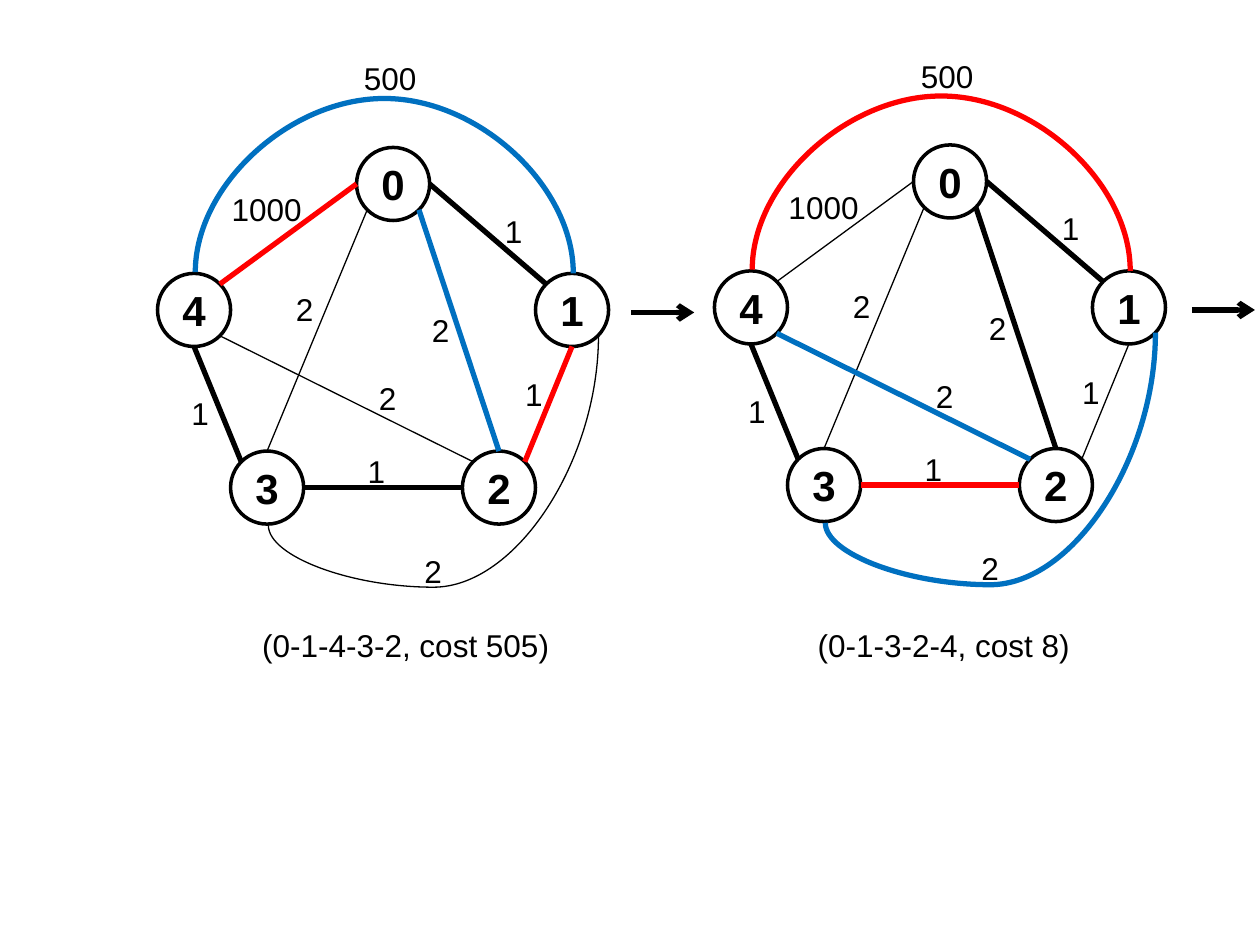
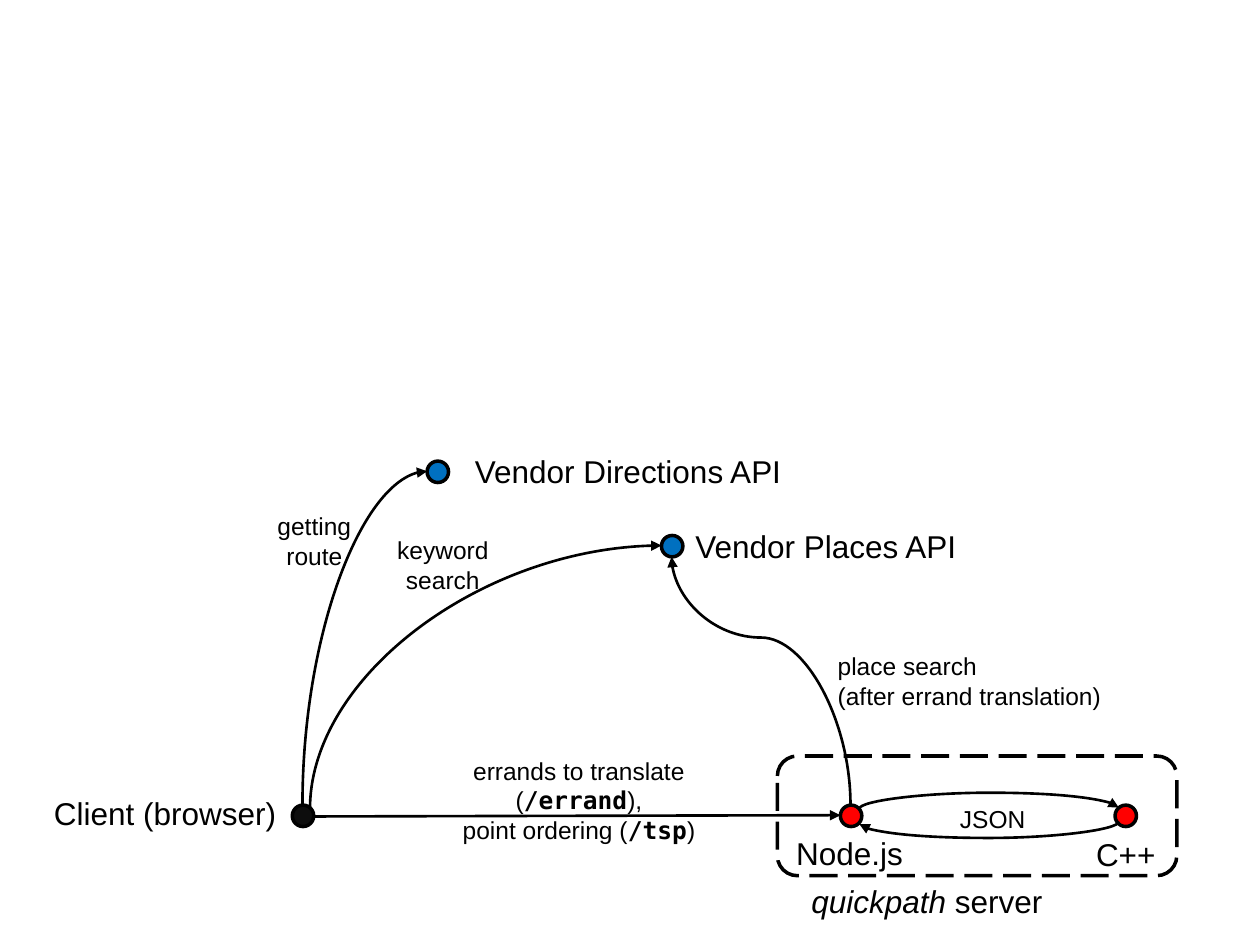
"""Builds two slides: travelling-salesman tour swaps and the errand router's request flow."""
from lxml import etree
from pptx import Presentation
from pptx import util as u
from pptx.dml.color import RGBColor
from pptx.enum import dml, shapes, text
from pptx.oxml import ns

COLORS = {"black": "000000", "red": "FF0000", "blue": "0070C0", "charcoal": "0D0D0D"}
SANS, MONO = "Arial", "DejaVu Sans Mono"
THIN, THICK, FLOW, OUTLINE = 0.75, 3, 1.5, 2

NODE_SIZE = 0.58
NODE_CORNERS = {"0": (2.83, 1.17), "1": (4.25, 2.17), "2": (3.67, 3.58),
                "3": (1.83, 3.58), "4": (1.25, 2.17)}
EDGES = {"0-1": ("E", "NW"), "1-2": ("S", "NE"), "2-3": ("W", "E"), "3-4": ("NW", "S"),
         "4-0": ("NE", "W"), "0-2": ("SE", "N"), "0-3": ("SW", "N"), "4-2": ("SE", "NW")}
CURVED_EDGES = {"1-4": ((4.55, 2.17), (1.55, 2.16), 0.76),
                "1-3": ((4.75, 2.66), (2.13, 4.17), 4.66)}
WEIGHTS = [("1", 3.91, 1.63), ("1", 4.07, 2.93), ("1", 2.82, 3.54), ("1", 1.42, 3.08),
           ("1000", 1.74, 1.46), ("2", 3.27, 4.33), ("2", 2.91, 2.96), ("2", 2.25, 2.25),
           ("2", 3.33, 2.42), ("500", 2.79, 0.42)]
TOURS = [
    {"shift": (0, 0), "kept": ["0-1", "2-3", "3-4"], "removed": ["1-2", "4-0"],
     "added": ["0-2", "1-4"], "caption": ("(0-1-4-3-2, cost 505)", 1.97, 2.5),
     "arrow": (5.01, 2.48)},
    {"shift": (4.42, -0.02), "kept": ["0-1", "3-4", "0-2"], "removed": ["2-3", "1-4"],
     "added": ["1-3", "4-2"], "caption": ("(0-1-3-2-4, cost 8)", 6.38, 2.22),
     "arrow": (9.46, 2.46)},
]
ROLE_COLORS = {"kept": "black", "removed": "red", "added": "blue"}

DOT_SIZE = 0.17
DOTS = [("charcoal", 2.32, 6.39), ("blue", 3.39, 3.66), ("blue", 5.25, 4.25),
        ("red", 6.67, 6.39), ("red", 8.85, 6.39)]
SERVER_FRAME = (6.17, 6, 3.17, 0.95)
FLOW_CURVES = [((2.4, 6.39), (3.39, 3.74), None), ((2.46, 6.42), (5.25, 4.33), None),
               ((6.75, 6.39), (5.33, 4.42), 5.06), ((6.82, 6.42), (8.88, 6.41), 6.29),
               ((8.88, 6.52), (6.82, 6.54), 6.65)]
REQUEST_LINE = ((2.48, 6.48), (6.67, 6.47))
PLACE_NAMES = [
    ([["Client (browser)"]], 0.33, 6.25, 1.98),
    ([["Vendor Directions API"]], 3.67, 3.54, 2.67),
    ([["Vendor Places API"]], 5.42, 4.13, 2.31),
    ([[("quickpath ", "italic"), "server"]], 6.34, 6.95, 2.12),
    ([["Node.js"]], 6.22, 6.57, 1.06),
    ([["C++"]], 8.6, 6.58, 0.68),
]
FLOW_NOTES = [
    ([["keyword"], ["search"]], 3.05, 4.2, 0.93, True),
    ([["getting"], ["route"]], 2.1, 4.01, 0.79, True),
    ([["place search"], ["(after errand translation)"]], 6.55, 5.12, 2.3, False),
    ([["errands to translate"], ["(", ("/errand", "code"), "),"],
      ["point ordering (", ("/tsp", "code"), ")"]], 3.17, 5.95, 2.85, True),
    ([["JSON"]], 7.52, 6.33, 0.73, False),
]

CURVE_TURNS = {(False, True): (90, False, False), (True, False): (90, True, True),
               (False, False): (270, False, True)}


def color(name):
    return RGBColor.from_string(COLORS[name])


def style_run(run, size, style=None, bold=False):
    run.font.size = u.Pt(size)
    run.font.name = MONO if style == "code" else SANS
    run.font.bold = bold or style == "code"
    run.font.italic = style == "italic"
    run.font.color.rgb = color("black")


def add_label(slide, lines, left, top, width, size=18, centered=False):
    height = 0.1 + len(lines) * size / 60
    box = slide.shapes.add_textbox(*map(u.Inches, (left, top, width, height)))
    frame = box.text_frame
    frame.word_wrap = False
    frame.auto_size = text.MSO_AUTO_SIZE.SHAPE_TO_FIT_TEXT
    paragraph = frame.paragraphs[0]
    paragraph.alignment = text.PP_ALIGN.CENTER if centered else text.PP_ALIGN.LEFT
    for index, line in enumerate(lines):
        if index:
            paragraph.add_line_break()
        for part in line:
            words, style = (part, None) if isinstance(part, str) else part
            run = paragraph.add_run()
            run.text = words
            style_run(run, size, style)


def add_outline(slide, kind, left, top, width, height, fill=None):
    shape = slide.shapes.add_shape(kind, *map(u.Inches, (left, top, width, height)))
    shape.shadow.inherit = False
    if fill:
        shape.fill.solid()
        shape.fill.fore_color.rgb = color(fill)
    else:
        shape.fill.background()
    shape.line.color.rgb = color("black")
    shape.line.width = u.Pt(OUTLINE)
    return shape


def add_line(slide, start, end, width, name="black", head=None, kind=shapes.MSO_CONNECTOR.STRAIGHT):
    connector = slide.shapes.add_connector(kind, *map(u.Inches, (*start, *end)))
    connector.line.color.rgb = color(name)
    connector.line.width = u.Pt(width)
    properties = connector._element.spPr
    if head:
        etree.SubElement(properties.find(ns.qn("a:ln")), ns.qn("a:tailEnd"), type=head)
    etree.SubElement(properties, ns.qn("a:effectLst"))
    return connector


def add_curve(slide, start, end, level, width, name="black", head=None):
    """Adds a curve that leaves its start vertically and, given a level, turns there."""
    connector = add_line(slide, start, end, width, name, head, shapes.MSO_CONNECTOR.CURVE)
    across, down = end[0] - start[0], end[1] - start[1]
    length, breadth = abs(down), abs(across)
    connector.left = u.Inches((start[0] + end[0] - length) / 2)
    connector.top = u.Inches((start[1] + end[1] - breadth) / 2)
    connector.width, connector.height = u.Inches(length), u.Inches(breadth)
    turn, flip_h, flip_v = CURVE_TURNS[across > 0, down > 0]
    transform = connector._element.spPr.find(ns.qn("a:xfrm"))
    transform.set("rot", str(turn * 60000))
    transform.set("flipH", str(int(flip_h)))
    transform.set("flipV", str(int(flip_v)))
    geometry = connector._element.spPr.find(ns.qn("a:prstGeom"))
    geometry.set("prst", "curvedConnector2" if level is None else "curvedConnector3")
    if level is not None:
        bend = round((level - start[1]) / down * 100000)
        guides = geometry.find(ns.qn("a:avLst"))
        etree.SubElement(guides, ns.qn("a:gd"), name="adj1", fmla=f"val {bend}")


def node_site(node, side):
    """Returns the point of a node's rim that lies on the given compass side."""
    x = ("E" in side) - ("W" in side)
    y = ("S" in side) - ("N" in side)
    radius = NODE_SIZE / 2
    reach = radius / (x * x + y * y) ** 0.5
    left, top = NODE_CORNERS[node]
    return left + radius + x * reach, top + radius + y * reach


def draw_tour(slide, tour):
    def moved(point):
        return point[0] + tour["shift"][0], point[1] + tour["shift"][1]

    def edge_style(edge):
        for role, name in ROLE_COLORS.items():
            if edge in tour[role]:
                return THICK, name
        return THIN, "black"

    for node, corner in NODE_CORNERS.items():
        shape = add_outline(slide, shapes.MSO_SHAPE.OVAL, *moved(corner), NODE_SIZE, NODE_SIZE)
        shape.text_frame.text = node
        shape.text_frame.vertical_anchor = text.MSO_ANCHOR.MIDDLE
        paragraph = shape.text_frame.paragraphs[0]
        paragraph.alignment = text.PP_ALIGN.CENTER
        style_run(paragraph.runs[0], 24, bold=True)
    for edge, sides in EDGES.items():
        start, end = (moved(node_site(*site)) for site in zip(edge.split("-"), sides))
        add_line(slide, start, end, *edge_style(edge))
    for edge, (start, end, level) in CURVED_EDGES.items():
        add_curve(slide, moved(start), moved(end), level + tour["shift"][1], *edge_style(edge))
    for weight, left, top in WEIGHTS:
        add_label(slide, [[weight]], *moved((left, top)), 0.2 + 0.14 * len(weight))
    caption, left, width = tour["caption"]
    add_label(slide, [[caption]], left, 4.92, width, centered=True)
    x, y = tour["arrow"]
    add_line(slide, (x, y), (x + 0.5, y), THICK, head="arrow")


def draw_request_flow(slide):
    for fill, left, top in DOTS:
        add_outline(slide, shapes.MSO_SHAPE.OVAL, left, top, DOT_SIZE, DOT_SIZE, fill)
    for start, end, level in FLOW_CURVES:
        add_curve(slide, start, end, level, FLOW, head="triangle")
    add_line(slide, *REQUEST_LINE, FLOW, head="triangle")
    frame = add_outline(slide, shapes.MSO_SHAPE.ROUNDED_RECTANGLE, *SERVER_FRAME)
    frame.line.dash_style = dml.MSO_LINE.LONG_DASH
    for lines, left, top, width in PLACE_NAMES:
        add_label(slide, lines, left, top, width)
    for lines, left, top, width, centered in FLOW_NOTES:
        add_label(slide, lines, left, top, width, 14, centered)


def main():
    presentation = Presentation()
    presentation.slide_width, presentation.slide_height = u.Inches(10), u.Inches(7.5)
    blank = presentation.slide_layouts[6]
    tour_slide = presentation.slides.add_slide(blank)
    for tour in TOURS:
        draw_tour(tour_slide, tour)
    draw_request_flow(presentation.slides.add_slide(blank))
    presentation.save("out.pptx")


if __name__ == "__main__":
    main()
